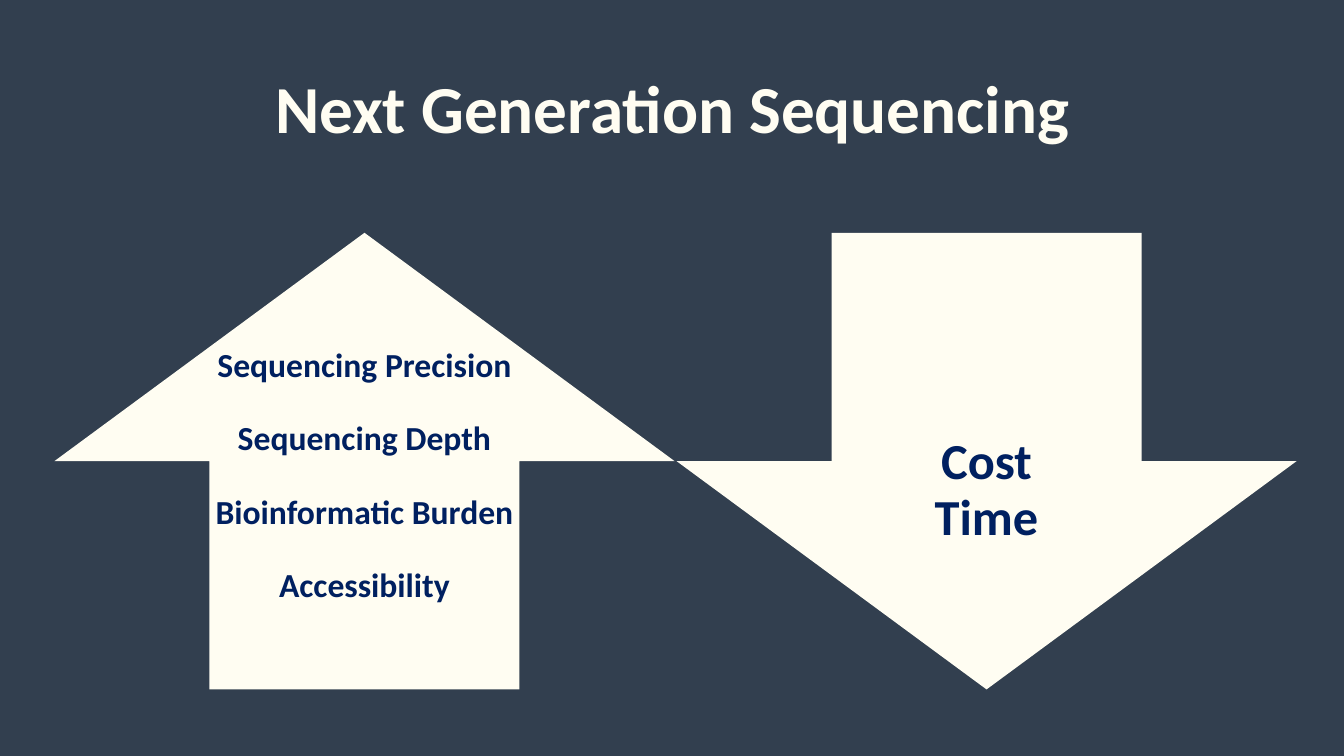
import pptx
import pptx.dml.color
import pptx.enum.shapes
import pptx.enum.text
import pptx.util
from pptx.util import Inches

COLOURS = {"slate": "323F4F", "cream": "FFFDF2", "navy": "002060"}
SHAPES = pptx.enum.shapes.MSO_SHAPE
ARROW_TOP, ARROW_WIDTH, ARROW_HEIGHT = 2.31, 6.15, 4.53
RISING_LEFT, FALLING_LEFT = 0.54, 6.71
RISING = [("Sequencing Precision", 3.15), ("Sequencing Depth", 2.74),
          ("Bioinformatic Burden", 3.19), ("Accessibility", 1.91)]
FALLING = [("Cost", 1.11), ("Time", 1.24)]


def colour(name):
    return pptx.dml.color.RGBColor.from_string(COLOURS[name])


def write(frame, text, size, ink):
    frame.text = text
    para = frame.paragraphs[0]
    para.alignment = pptx.enum.text.PP_ALIGN.CENTER
    para.font.name = "Calibri"
    para.font.size = pptx.util.Pt(size)
    para.font.bold = True
    para.font.color.rgb = colour(ink)
    return para


def set_title(page, text):
    title = page.shapes.title
    title.left, title.top = Inches(0.92), Inches(0.38)
    title.width, title.height = Inches(11.5), Inches(1.45)
    title.text_frame.vertical_anchor = pptx.enum.text.MSO_ANCHOR.MIDDLE
    write(title.text_frame, text, 48, "cream").line_spacing = 0.9


def add_arrow(page, kind, left):
    arrow = page.shapes.add_shape(kind, Inches(left), Inches(ARROW_TOP),
                                  Inches(ARROW_WIDTH), Inches(ARROW_HEIGHT))
    arrow.adjustments[0] = arrow.adjustments[1] = 0.5
    arrow.fill.solid()
    arrow.fill.fore_color.rgb = colour("cream")
    arrow.line.fill.background()
    arrow.shadow.inherit = False


def add_labels(page, labels, arrow_left, top, pitch, height, size):
    centre = arrow_left + ARROW_WIDTH / 2
    for row, (text, width) in enumerate(labels):
        box = page.shapes.add_textbox(Inches(centre - width / 2), Inches(top + row * pitch),
                                      Inches(width), Inches(height))
        box.text_frame.word_wrap = False
        box.text_frame.auto_size = pptx.enum.text.MSO_AUTO_SIZE.SHAPE_TO_FIT_TEXT
        write(box.text_frame, text, size, "navy")


def main():
    """Build the sequencing trends slide."""
    deck = pptx.Presentation()
    deck.slide_width, deck.slide_height = Inches(13.33), Inches(7.5)
    page = deck.slides.add_slide(deck.slide_layouts[5])
    page.background.fill.solid()
    page.background.fill.fore_color.rgb = colour("slate")
    set_title(page, "Next Generation Sequencing")
    add_arrow(page, SHAPES.UP_ARROW, RISING_LEFT)
    add_arrow(page, SHAPES.DOWN_ARROW, FALLING_LEFT)
    add_labels(page, RISING, RISING_LEFT, 3.36, 0.73, 0.5, 24)
    add_labels(page, FALLING, FALLING_LEFT, 4.21, 0.55, 0.71, 36)
    deck.save("out.pptx")


if __name__ == "__main__":
    main()
